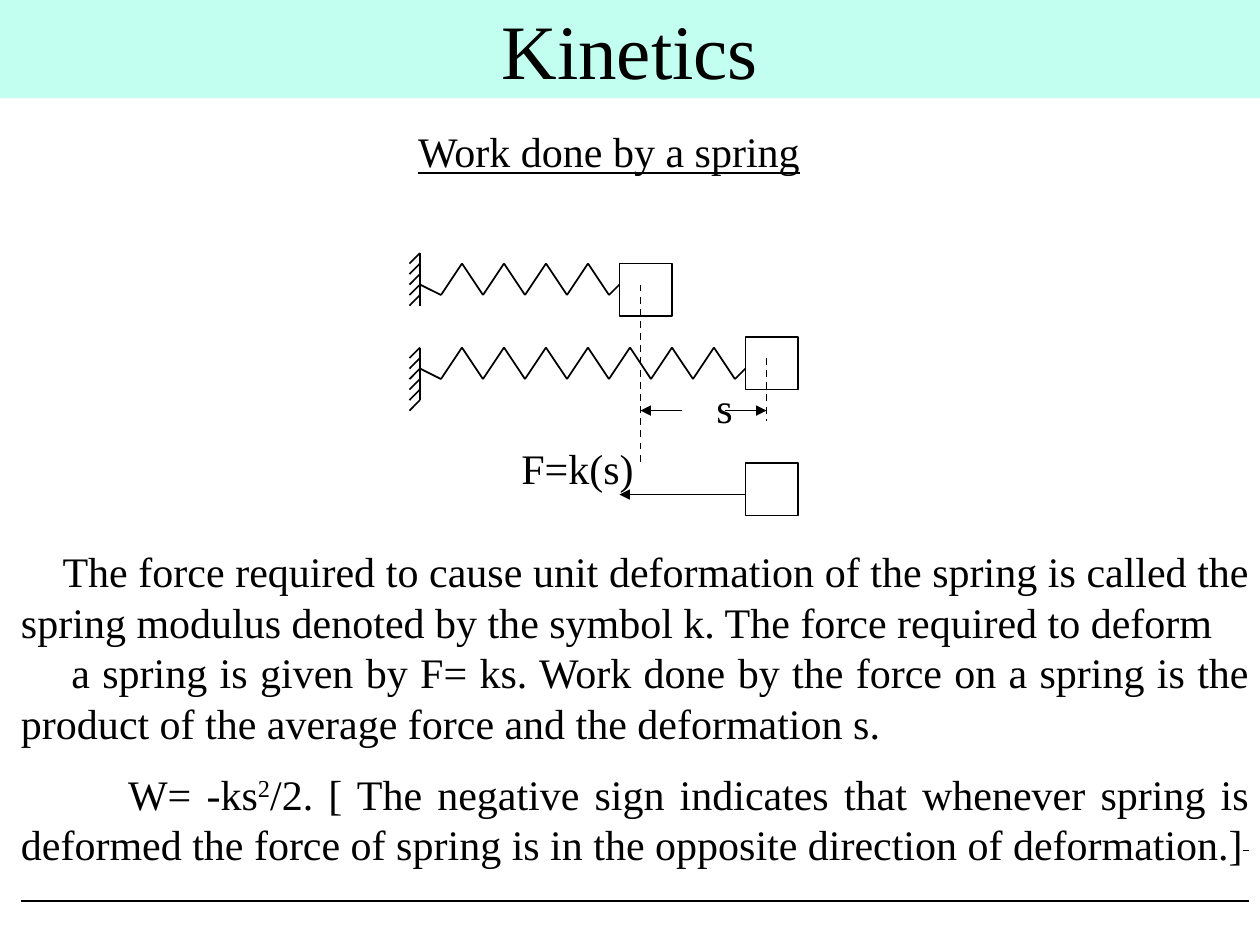
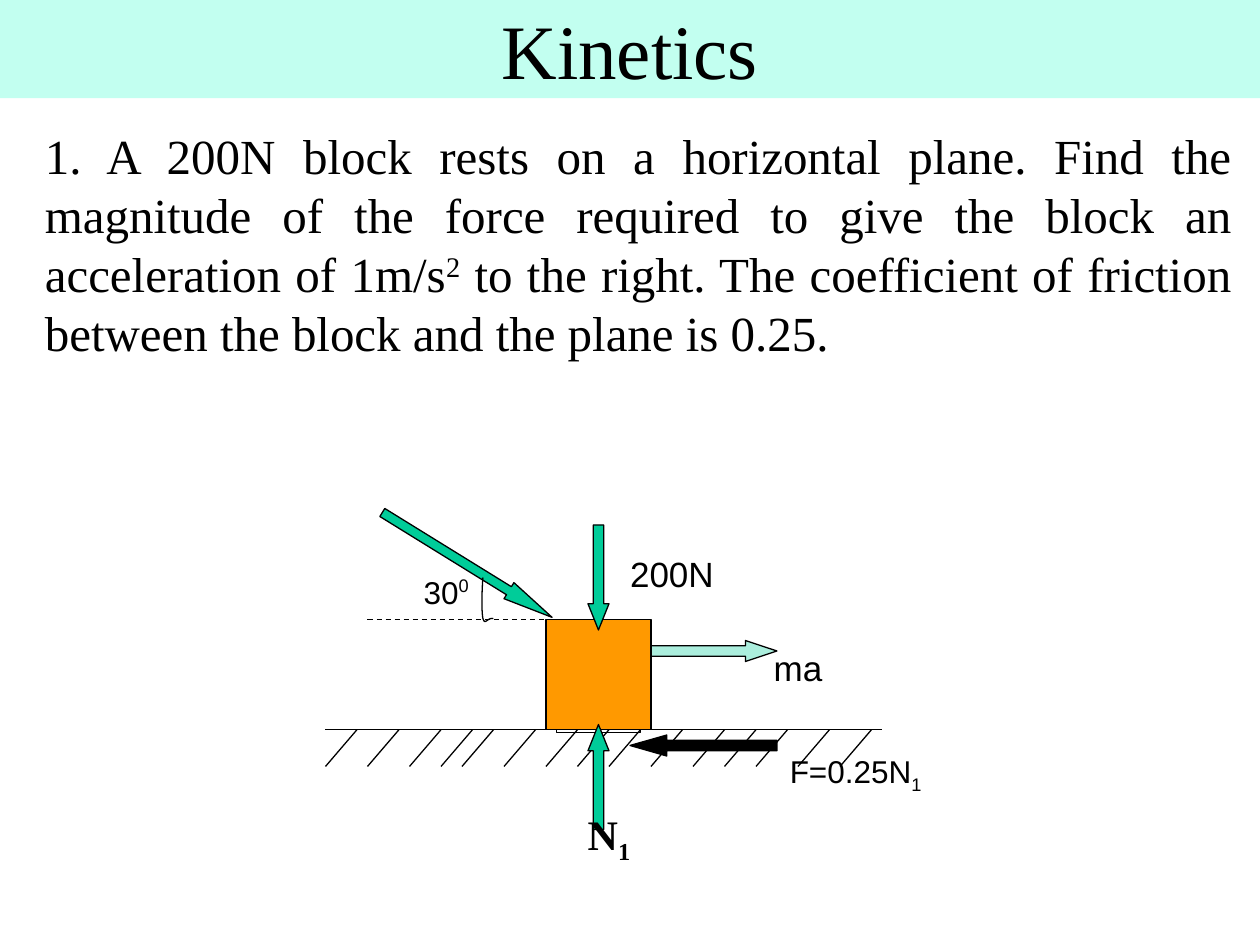
from dataclasses import dataclass
from itertools import pairwise
from typing import NamedTuple

from lxml.etree import SubElement
from pptx import Presentation
from pptx.dml.color import RGBColor
from pptx.enum.dml import MSO_LINE
from pptx.enum.shapes import MSO_CONNECTOR, MSO_SHAPE
from pptx.enum.text import MSO_ANCHOR, MSO_AUTO_SIZE, PP_ALIGN
from pptx.oxml.ns import qn
from pptx.util import Inches, Pt

# Shared look
WIDE, HIGH = Inches(10), Inches(7.5)
BAND = 0.104  # share of the slide's height
BLACK, WHITE, MINT = "000000", "FFFFFF", "C2FFF0"
GREEN, AMBER = "00CC99", "FF9900"
SERIF, SANS = "Times New Roman", "Arial"
CELL = Inches(1) / 12  # drawings sit on a grid of 12 cells to the inch


class Spot(NamedTuple):
    col: float
    row: float


class Bit(NamedTuple):
    text: str
    base: int = 0  # shift from the baseline, percent


class Para(NamedTuple):
    bits: list[Bit]
    indent: float = 0  # share of the slide's width
    before: float = 0  # points


@dataclass
class Note:
    at: Spot
    width: float
    height: float
    paras: list[Para]
    size: float
    font: str = SERIF
    align: PP_ALIGN = PP_ALIGN.CENTER
    inset: bool = True
    bold: bool = False
    under: bool = False


@dataclass
class Solid:
    kind: MSO_SHAPE
    at: Spot
    width: float
    height: float
    fill: str | None
    head: float | None = None  # arrowhead length over thickness
    turn: float = 0
    alpha: int = 100


def color(code: str) -> RGBColor:
    return RGBColor.from_string(code)


def plain(text: str) -> list[Para]:
    return [Para([Bit(text)])]


@dataclass
class Board:
    """A slide with a drawing grid that starts at row `top`."""
    slide: object
    top: float
    weight: float

    def place(self, spot: Spot) -> tuple[int, int]:
        return round(spot.col * CELL), round((self.top + spot.row) * CELL)

    def line(self, start: Spot, end: Spot, dash: bool = False,
             arrow: bool = False) -> None:
        link = self.slide.shapes.add_connector(
            MSO_CONNECTOR.STRAIGHT, *self.place(start), *self.place(end))
        link.line.color.rgb = color(BLACK)
        link.line.width = Pt(self.weight)
        if dash:
            link.line.dash_style = MSO_LINE.DASH
        props = link._element.spPr
        if arrow:
            SubElement(props.get_or_add_ln(), qn("a:tailEnd"), type="triangle")
        SubElement(props, qn("a:effectLst"))

    def chain(self, spots: list[Spot]) -> None:
        for start, end in pairwise(spots):
            self.line(start, end)

    def ink(self, shape, fill: str | None) -> None:
        shape.shadow.inherit = False
        shape.line.color.rgb = color(BLACK)
        shape.line.width = Pt(self.weight)
        if fill:
            shape.fill.solid()
            shape.fill.fore_color.rgb = color(fill)
        else:
            shape.fill.background()

    def solid(self, item: Solid) -> None:
        shape = self.slide.shapes.add_shape(
            item.kind, *self.place(item.at),
            round(item.width * CELL), round(item.height * CELL))
        self.ink(shape, item.fill)
        shape.rotation = item.turn
        if item.head:
            shape.adjustments[0] = 0.5
            shape.adjustments[1] = item.head
        if item.alpha < 100:
            tint = shape._element.spPr.find(qn("a:solidFill"))[0]
            SubElement(tint, qn("a:alpha"), val=str(item.alpha * 1000))

    def note(self, item: Note) -> None:
        box = self.slide.shapes.add_textbox(
            *self.place(item.at),
            round(item.width * CELL), round(item.height * CELL))
        frame = box.text_frame
        frame.word_wrap = True
        if not item.inset:
            frame.margin_left = frame.margin_right = 0
            frame.margin_top = frame.margin_bottom = 0
        for i, para in enumerate(item.paras):
            block = frame.add_paragraph() if i else frame.paragraphs[0]
            block.alignment = item.align
            block.space_before = Pt(para.before)
            if para.indent:
                block._p.get_or_add_pPr().set("indent", str(round(para.indent * WIDE)))
            for bit in para.bits:
                run = block.add_run()
                run.text = bit.text
                font = run.font
                font.name, font.size = item.font, Pt(item.size)
                font.bold, font.underline = item.bold, item.under
                font.color.rgb = color(BLACK)
                if bit.base:
                    run._r.get_or_add_rPr().set("baseline", str(bit.base * 1000))


def start(deck, top: float, weight: float) -> Board:
    """Add a slide with the title band."""
    slide = deck.slides.add_slide(deck.slide_layouts[5])
    title = slide.shapes.title
    title.left, title.top = 0, 0
    title.width, title.height = WIDE, round(BAND * HIGH)
    title.fill.solid()
    title.fill.fore_color.rgb = color(MINT)
    frame = title.text_frame
    frame.text = "Kinetics"
    frame.auto_size = MSO_AUTO_SIZE.NONE
    frame.vertical_anchor = MSO_ANCHOR.MIDDLE
    para = frame.paragraphs[0]
    para.alignment = PP_ALIGN.CENTER
    font = para.runs[0].font
    font.name, font.size = SERIF, Pt(44)
    font.color.rgb = color(BLACK)
    return Board(slide, top, weight)


# Slide 1: springs
WALL, BLOCK = 40, 5


def spring(board: Board, row: int, end: int, wall: int, ticks: int) -> None:
    """Hatched wall, zigzag from the wall to column `end`."""
    board.line(Spot(WALL, wall), Spot(WALL, wall + 5))
    for tick in range(wall, wall + ticks):
        board.line(Spot(WALL, tick), Spot(WALL - 1, tick + 1))
    bends = [Spot(col, row + (1 if i % 2 == 0 else -2))
             for i, col in enumerate(range(WALL + 2, end, 2))]
    board.chain([Spot(WALL, row), *bends, Spot(end, row)])


def work(deck) -> None:
    board = start(deck, 24.1, 1)
    board.note(Note(Spot(13, -12.1), 90, 12, plain("Work done by a spring"), 24,
                    inset=False, under=True))
    board.note(Note(Spot(2, 27.9), 117, 38.7, [
        Para([Bit("The force required to cause unit deformation of the spring is "
                  "called the spring modulus denoted by the symbol k. The force "
                  "required to deform")], 0.033),
        Para([Bit("a spring is given by F= ks. Work done by the force on a spring "
                  "is the product of the average force and the deformation s.")], 0.04),
        Para([Bit("W= -ks"), Bit("2", 30),
              Bit("/2. [ The negative sign indicates that whenever spring is "
                  "deformed the force of spring is in the opposite direction of "
                  "deformation.]")], 0.085, 12),
    ], 24, align=PP_ALIGN.JUSTIFY, inset=False))

    # Springs and blocks
    spring(board, 3, 59, 0, 5)
    spring(board, 11, 71, 9, 6)
    for spot in (Spot(59, 1), Spot(71, 8), Spot(71, 20)):
        board.solid(Solid(MSO_SHAPE.RECTANGLE, spot, BLOCK, BLOCK, WHITE))

    # Stretch and force
    board.line(Spot(61, 3), Spot(61, 20), dash=True)
    board.line(Spot(73, 10), Spot(73, 16), dash=True)
    board.line(Spot(69, 15), Spot(73, 15), arrow=True)
    board.line(Spot(65, 15), Spot(61, 15), arrow=True)
    board.line(Spot(71, 23), Spot(59, 23), arrow=True)
    board.note(Note(Spot(60.5, 12.25), 17, 4.8, plain("s"), 24, inset=False))
    board.note(Note(Spot(41, 18), 28, 4.8, plain("F=k(s)"), 24, inset=False))

    # Closing rule, from the end of the text to the foot
    board.weight = 0.75
    board.line(Spot(118.4, 56.9), Spot(119, 56.9))
    board.line(Spot(2, 61.7), Spot(119, 61.7))


# Slide 2: forces on a block
FLOOR = 69.5
HATCH = (34, 38, 42, 45, 47, 51, 55, 58, 61, 65, 69, 72, 75, 79, 83)
ARC = [((46, 55), (45.87, 56.6), (45.87, 58.3), (46, 58.9)),
       ((46, 58.9), (46.2, 59.6), (46.4, 58.8), (47, 58.9))]


def curve(a: Spot, b: Spot, c: Spot, d: Spot, steps: int = 12) -> list[Spot]:
    """Points along a cubic curve, without its start."""
    def blend(t: float, axis: int) -> float:
        u = 1 - t
        return (u**3 * a[axis] + 3 * u * u * t * b[axis]
                + 3 * u * t * t * c[axis] + t**3 * d[axis])
    return [Spot(blend(i / steps, 0), blend(i / steps, 1)) for i in range(1, steps + 1)]


def forces(deck) -> None:
    board = start(deck, 0, 0.75)
    board.note(Note(Spot(3.1, 11.4), 115.4, 23.9, [Para([
        Bit("1. A 200N block rests on a horizontal plane. Find the magnitude of "
            "the force required to give the block an acceleration of 1m/s"),
        Bit("2", 30),
        Bit(" to the right. The coefficient of friction between the block and "
            "the plane is 0.25.")])], 28, align=PP_ALIGN.JUSTIFY))

    # Block on the ground
    board.solid(Solid(MSO_SHAPE.RECTANGLE, Spot(53, 65), 8, 4.8, None))
    board.solid(Solid(MSO_SHAPE.RIGHT_ARROW, Spot(62, 61), 12, 2, GREEN, 1.5, alpha=33))
    board.line(Spot(31, FLOOR), Spot(84, FLOOR))
    board.solid(Solid(MSO_SHAPE.RECTANGLE, Spot(52, 59), 10, 10.5, AMBER))
    for col in HATCH:
        board.line(Spot(col, FLOOR), Spot(col - 3, FLOOR + 3.5))
    board.line(Spot(35, 59), Spot(53, 59), dash=True)

    # Labels
    for note in (
        Note(Spot(38, 54), 9, 4.8, [Para([Bit("30"), Bit("0", 40)])], 18, SANS),
        Note(Spot(58, 52), 12, 5.2, plain("200N"), 20, SANS),
        Note(Spot(72, 61), 8, 5.2, plain("ma"), 20, SANS),
        Note(Spot(73, 71), 17, 4.8, [Para([Bit("F=0.25N"), Bit("1", -25)])], 18, SANS),
    ):
        board.note(note)

    # Force arrows
    for item in (
        Solid(MSO_SHAPE.DOWN_ARROW, Spot(56, 50), 2, 10, GREEN, 1.25),
        Solid(MSO_SHAPE.DOWN_ARROW, Spot(43.6, 44.3), 1.8, 19, GREEN, 2.68, 301.7),
        Solid(MSO_SHAPE.LEFT_ARROW, Spot(60, 70), 14, 2, BLACK, 1.75),
        Solid(MSO_SHAPE.UP_ARROW, Spot(56, 69), 2, 10, GREEN, 1.25),
    ):
        board.solid(item)

    # Angle mark
    pen = board.slide.shapes.build_freeform(*board.place(Spot(*ARC[0][0])))
    pen.add_line_segments(
        [board.place(spot) for piece in ARC for spot in curve(*piece)], close=False)
    board.ink(pen.convert_to_shape(), None)
    board.note(Note(Spot(53, 77), 10, 4.8, [Para([Bit("N"), Bit("1", -25)])], 24,
                    inset=False, bold=True))


def main() -> None:
    deck = Presentation()
    deck.slide_width, deck.slide_height = WIDE, HIGH
    work(deck)
    forces(deck)
    deck.save("out.pptx")


if __name__ == "__main__":
    main()
